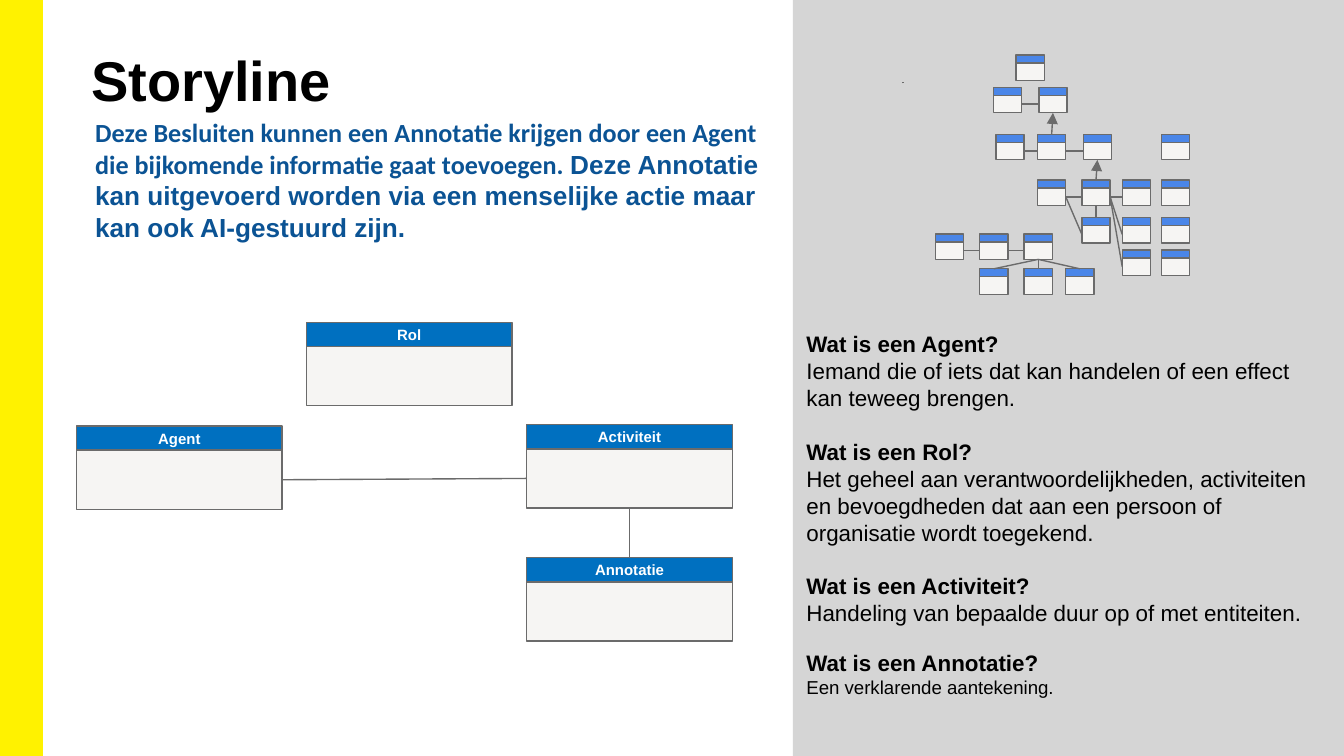
from dataclasses import dataclass

import lxml.etree
import pptx
import pptx.dml.color
import pptx.enum.shapes
import pptx.enum.text
import pptx.oxml.ns
import pptx.slide
import pptx.util
from pptx.util import Inches

ANCHOR = pptx.enum.text.MSO_ANCHOR
ALIGN = pptx.enum.text.PP_ALIGN
RECTANGLE = pptx.enum.shapes.MSO_SHAPE.RECTANGLE
STRAIGHT = pptx.enum.shapes.MSO_CONNECTOR.STRAIGHT
TOP, LEFT, BOTTOM, RIGHT = range(4)  # connection sites of a rectangle
SLIDE_WIDTH = 10
SLIDE_HEIGHT = SLIDE_WIDTH * 9 / 16


@dataclass(frozen=True)
class Theme:
    accent: str = "FFF200"
    panel: str = "D5D5D5"
    entity_header: str = "0070C0"
    overview_header: str = "4A86E8"
    entity_body: str = "F6F5F3"
    outline: str = "6B6B6B"
    intro: str = "0B5394"
    ink: str = "000000"
    white: str = "FFFFFF"
    sans: str = "Arial"
    intro_font: str = "Calibri"
    title_size: float = 30
    intro_size: float = 14
    text_size: float = 12
    small_size: float = 10
    label_size: float = 8
    line_width: float = 0.75


@dataclass(frozen=True)
class EntityStyle:
    width: float
    header_height: float
    body_height: float
    header_color: str


@dataclass
class Entity:
    header: object
    body: object

    def site(self, side: int) -> tuple:
        return (self.header if side == TOP else self.body), side


@dataclass(frozen=True)
class Link:
    start: str
    start_side: int
    end: str
    end_side: int
    arrow: bool = False


@dataclass(frozen=True)
class Definition:
    question: str
    answer: str
    answer_size: float
    gap: float


THEME = Theme()
LARGE = EntityStyle(1.53, 0.18, 0.44, THEME.entity_header)
SMALL = EntityStyle(0.21, 0.06, 0.13, THEME.overview_header)

STORY = {
    "Agent": (0.57, 3.17),
    "Rol": (2.28, 2.4),
    "Activiteit": (3.92, 3.16),
    "Annotatie": (3.92, 4.15),
}
STORY_LINKS = [
    Link("Agent", RIGHT, "Activiteit", LEFT),
    Link("Annotatie", TOP, "Activiteit", BOTTOM),
]

# Rows of the overview model: top edge and left edges
OVERVIEW = {
    "A": (0.41, [7.56]),
    "B": (0.65, [7.39, 7.73]),
    "C": (1.0, [7.41, 7.72, 8.06, 8.64]),
    "D": (1.34, [7.72, 8.05, 8.35, 8.64]),
    "E": (1.62, [8.05, 8.35, 8.64]),
    "F": (1.86, [8.35, 8.64]),
    "G": (1.74, [6.96, 7.29, 7.62]),
    "H": (2.0, [7.29, 7.62, 7.93]),
}
SIDE_PAIRS = ["B2 B1", "C2 C1", "C3 C2", "D2 D1", "D3 D2", "E1 D1", "E2 D2", "F1 D2", "G2 G1", "G3 G2"]
OVERVIEW_LINKS = [Link(pair[:2], LEFT, pair[3:], RIGHT) for pair in SIDE_PAIRS]
OVERVIEW_LINKS += [Link("G3", BOTTOM, child, TOP) for child in ("H1", "H2", "H3")]
OVERVIEW_LINKS += [
    Link("E1", TOP, "D2", BOTTOM),
    Link("C2", TOP, "B2", BOTTOM, arrow=True),
    Link("D2", TOP, "C3", BOTTOM, arrow=True),
]

DEFINITIONS = [
    Definition("Wat is een Agent?",
               "Iemand die of iets dat kan handelen of een effect kan teweeg brengen.",
               THEME.text_size, 0),
    Definition("Wat is een Rol?",
               "Het geheel aan verantwoordelijkheden, activiteiten en bevoegdheden dat "
               "aan een persoon of organisatie wordt toegekend.", THEME.text_size, 14.4),
    Definition("Wat is een Activiteit?", "Handeling van bepaalde duur op of met entiteiten.",
               THEME.text_size, 14.4),
    Definition("Wat is een Annotatie?", "Een verklarende aantekening.", THEME.small_size, 12.4),
]
INTRO = [
    ("Deze Besluiten kunnen een Annotatie krijgen door een Agent die bijkomende "
     "informatie gaat toevoegen. ", THEME.intro_font),
    ("Deze Annotatie kan uitgevoerd worden via een menselijke actie maar "
     "kan ook AI-gestuurd zijn.", THEME.sans),
]


def rgb(color: str) -> pptx.dml.color.RGBColor:
    return pptx.dml.color.RGBColor.from_string(color)


def place(shape, left: float, top: float, width: float, height: float) -> None:
    shape.left, shape.top = Inches(left), Inches(top)
    shape.width, shape.height = Inches(width), Inches(height)


def format_run(run, size: float, color: str, bold: bool = True, font: str = THEME.sans) -> None:
    run.font.name, run.font.size, run.font.bold = font, pptx.util.Pt(size), bold
    run.font.color.rgb = rgb(color)


def set_frame(frame, left: float, top: float, anchor=ANCHOR.TOP) -> None:
    frame.word_wrap = True
    frame.auto_size = pptx.enum.text.MSO_AUTO_SIZE.NONE
    frame.vertical_anchor = anchor
    frame.margin_left = frame.margin_right = Inches(left)
    frame.margin_top, frame.margin_bottom = Inches(top), 0


def add_box(shapes, left: float, top: float, width: float, height: float,
            fill: str, outline: str, line_width: float = THEME.line_width):
    box = shapes.add_shape(RECTANGLE, Inches(left), Inches(top), Inches(width), Inches(height))
    box.shadow.inherit = False
    box.fill.solid()
    box.fill.fore_color.rgb = rgb(fill)
    box.line.color.rgb = rgb(outline)
    box.line.width = pptx.util.Pt(line_width)
    return box


def add_entity(slide: pptx.slide.Slide, left: float, top: float,
               style: EntityStyle, label: str = "") -> Entity:
    shapes = slide.shapes.add_group_shape().shapes
    body = add_box(shapes, left, top + style.header_height, style.width, style.body_height,
                   THEME.entity_body, THEME.outline)
    header = add_box(shapes, left, top, style.width, style.header_height,
                     style.header_color, THEME.outline)
    if label:
        set_frame(header.text_frame, 0.1, 0, ANCHOR.MIDDLE)
        header.text_frame.text = label
        caption = header.text_frame.paragraphs[0]
        caption.alignment = ALIGN.CENTER
        format_run(caption.runs[0], THEME.label_size, THEME.white)
    return Entity(header, body)


def add_line(slide: pptx.slide.Slide, start=(0, 0), end=(0, 0), arrow: bool = False):
    points = [Inches(value) for value in (*start, *end)]
    line = slide.shapes.add_connector(STRAIGHT, *points)
    line.line.color.rgb = rgb(THEME.outline)
    line.line.width = pptx.util.Pt(THEME.line_width)
    qn = pptx.oxml.ns.qn
    if arrow:
        lxml.etree.SubElement(line.line._get_or_add_ln(), qn("a:tailEnd"), type="triangle")
    lxml.etree.SubElement(line._element.spPr, qn("a:effectLst"))
    return line


def add_links(slide: pptx.slide.Slide, entities: dict[str, Entity], links: list[Link]) -> None:
    for link in links:
        line = add_line(slide, arrow=link.arrow)
        line.begin_connect(*entities[link.start].site(link.start_side))
        line.end_connect(*entities[link.end].site(link.end_side))


def add_title(slide: pptx.slide.Slide) -> None:
    title = slide.shapes.title
    place(title, 0.61, 0.3, 8.97, 0.6)
    set_frame(title.text_frame, 0.07, 0.04)
    title.text_frame.text = "Storyline"
    title.text_frame.paragraphs[0].alignment = ALIGN.LEFT
    format_run(title.text_frame.paragraphs[0].runs[0], THEME.title_size, THEME.ink)


def add_definitions(slide: pptx.slide.Slide) -> None:
    panel = slide.placeholders[1]
    place(panel, 5.9, 0, 4.1, SLIDE_HEIGHT)
    panel.fill.solid()
    panel.fill.fore_color.rgb = rgb(THEME.panel)
    frame = panel.text_frame
    set_frame(frame, 0.1, 2.46)
    frame.text = "\n".join(f"{item.question}\n{item.answer}" for item in DEFINITIONS)
    for index, paragraph in enumerate(frame.paragraphs):
        item, is_answer = DEFINITIONS[index // 2], index % 2 == 1
        properties = paragraph._p.get_or_add_pPr()
        properties.set("marL", "0")
        properties.set("indent", "0")
        lxml.etree.SubElement(properties, pptx.oxml.ns.qn("a:buNone"))
        paragraph.space_before = pptx.util.Pt(0 if is_answer else item.gap)
        size = item.answer_size if is_answer else THEME.text_size
        format_run(paragraph.runs[0], size, THEME.ink, bold=not is_answer)


def add_intro(slide: pptx.slide.Slide) -> None:
    intro = slide.shapes.add_textbox(Inches(0.61), Inches(0.82), Inches(5.33), Inches(1.04))
    set_frame(intro.text_frame, 0.1, 0.05)
    for text, font in INTRO:
        run = intro.text_frame.paragraphs[0].add_run()
        run.text = text
        format_run(run, THEME.intro_size, THEME.intro, font=font)


def main() -> None:
    deck = pptx.Presentation()
    deck.slide_width, deck.slide_height = Inches(SLIDE_WIDTH), Inches(SLIDE_HEIGHT)
    slide = deck.slides.add_slide(deck.slide_layouts[1])

    # Title, definitions panel and accent bar
    add_title(slide)
    add_definitions(slide)
    add_box(slide.shapes, 0, 0, 0.31, SLIDE_HEIGHT, THEME.accent, THEME.accent, 1)

    # Story diagram
    story = {name: add_entity(slide, *spot, LARGE, name) for name, spot in STORY.items()}
    add_links(slide, story, STORY_LINKS)

    # Overview of the whole model
    overview = {f"{row}{column}": add_entity(slide, left, top, SMALL)
                for row, (top, lefts) in OVERVIEW.items()
                for column, left in enumerate(lefts, 1)}
    add_links(slide, overview, OVERVIEW_LINKS)
    add_line(slide, (6.72, 0.62), (6.72, 0.61))

    add_intro(slide)
    deck.save("out.pptx")


if __name__ == "__main__":
    main()
